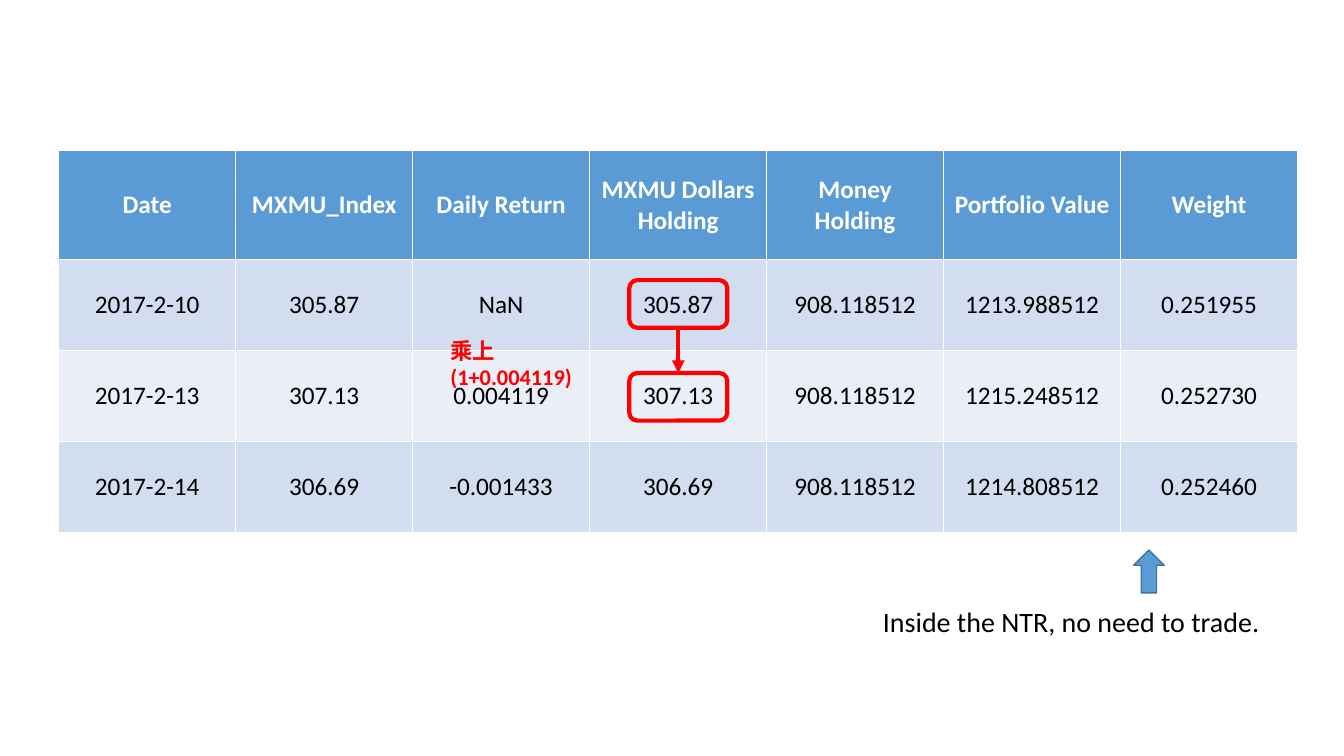
from lxml.etree import SubElement
from pptx import Presentation
from pptx.dml.color import RGBColor
from pptx.enum.shapes import MSO_CONNECTOR, MSO_SHAPE
from pptx.enum.text import MSO_ANCHOR, PP_ALIGN
from pptx.oxml.ns import qn
from pptx.util import Cm, Pt

WHITE = RGBColor(0xFF, 0xFF, 0xFF)
BLACK = RGBColor(0x00, 0x00, 0x00)
RED = RGBColor(0xFF, 0x00, 0x00)
BLUE = RGBColor(0x5B, 0x9B, 0xD5)
DARK_BLUE = RGBColor(0x43, 0x73, 0x9E)
BAND_DARK = RGBColor(0xD2, 0xDE, 0xEF)
BAND_LIGHT = RGBColor(0xEA, 0xEF, 0xF7)

HOLDINGS = [
    ["Date", "MXMU_Index", "Daily Return", "MXMU Dollars Holding",
     "Money Holding", "Portfolio Value", "Weight"],
    ["2017-2-10", "305.87", "NaN", "305.87", "908.118512", "1213.988512", "0.251955"],
    ["2017-2-13", "307.13", "0.004119", "307.13", "908.118512", "1215.248512", "0.252730"],
    ["2017-2-14", "306.69", "-0.001433", "306.69", "908.118512", "1214.808512", "0.252460"],
]
COLUMN_WIDTH = 4.46
HEADER_HEIGHT = 2.74
ROW_HEIGHT = 2.29


def write(frame, text, size=18, color=BLACK, bold=False, align=PP_ALIGN.LEFT):
    para = frame.paragraphs[0]
    para.alignment = align
    span = para.add_run()
    span.text = text
    span.font.name = "Calibri"
    span.font.size = Pt(size)
    span.font.bold = bold
    span.font.color.rgb = color


class SlideBuilder:
    """Draws styled elements on the current slide, with lengths in centimetres."""

    def __init__(self, page, accent=RED, stroke=3):
        self.page = page
        self.accent = accent
        self.stroke = stroke

    def table(self, left, top, rows):
        heights = [HEADER_HEIGHT] + [ROW_HEIGHT] * (len(rows) - 1)
        width = COLUMN_WIDTH * len(rows[0])
        table = self.page.shapes.add_table(
            len(rows), len(rows[0]), Cm(left), Cm(top), Cm(width), Cm(sum(heights))).table
        for column in table.columns:
            column.width = Cm(COLUMN_WIDTH)
        for index, (values, height) in enumerate(zip(rows, heights)):
            table.rows[index].height = Cm(height)
            header = index == 0
            band = BAND_DARK if index % 2 else BAND_LIGHT
            for cell, value in zip(table.rows[index].cells, values):
                cell.fill.solid()
                cell.fill.fore_color.rgb = BLUE if header else band
                cell.vertical_anchor = MSO_ANCHOR.MIDDLE
                write(cell.text_frame, value, color=WHITE if header else BLACK,
                      bold=header, align=PP_ALIGN.CENTER)

    def shape(self, kind, left, top, width, height, fill=None, line=None, stroke=None):
        shape = self.page.shapes.add_shape(kind, Cm(left), Cm(top), Cm(width), Cm(height))
        shape.shadow.inherit = False
        if fill is None:
            shape.fill.background()
        else:
            shape.fill.solid()
            shape.fill.fore_color.rgb = fill
        shape.line.color.rgb = line or self.accent
        shape.line.width = Pt(stroke or self.stroke)

    def arrow(self, x, start, end):
        arrow = self.page.shapes.add_connector(
            MSO_CONNECTOR.STRAIGHT, Cm(x), Cm(start), Cm(x), Cm(end))
        arrow.line.color.rgb = self.accent
        arrow.line.width = Pt(self.stroke)
        SubElement(arrow.line._get_or_add_ln(), qn("a:tailEnd"), type="triangle")
        SubElement(arrow._element.spPr, qn("a:effectLst"))

    def label(self, text, left, top, width, height, wrap=False, right_inset=0.25, **style):
        box = self.page.shapes.add_textbox(Cm(left), Cm(top), Cm(width), Cm(height))
        box.text_frame.word_wrap = wrap
        box.text_frame.margin_right = Cm(right_inset)
        write(box.text_frame, text, **style)


def main():
    deck = Presentation()
    deck.slide_width, deck.slide_height = Cm(33.87), Cm(19.05)
    slide = SlideBuilder(deck.slides.add_slide(deck.slide_layouts[6]))

    slide.table(1.48, 3.8, HOLDINGS)
    slide.shape(MSO_SHAPE.UP_ARROW, 28.57, 13.86, 0.77, 1.08,
                fill=BLUE, line=DARK_BLUE, stroke=1)
    slide.label("Inside the NTR, no need to trade.", 22, 15.1, 10.08, 1.11, size=20)

    frame_left, frame_width, frame_height = 15.86, 2.47, 1.2
    frame_tops = (7.06, 9.4)
    for top in frame_tops:
        slide.shape(MSO_SHAPE.ROUNDED_RECTANGLE, frame_left, top, frame_width, frame_height)
    slide.arrow(frame_left + frame_width / 2, frame_tops[0] + frame_height, frame_tops[1])
    slide.label("乘上 (1+0.004119)", 11.1, 8.36, 4.9, 0.94, wrap=True, right_inset=0.8,
                size=16, color=RED, bold=True)

    deck.save("out.pptx")


if __name__ == "__main__":
    main()
